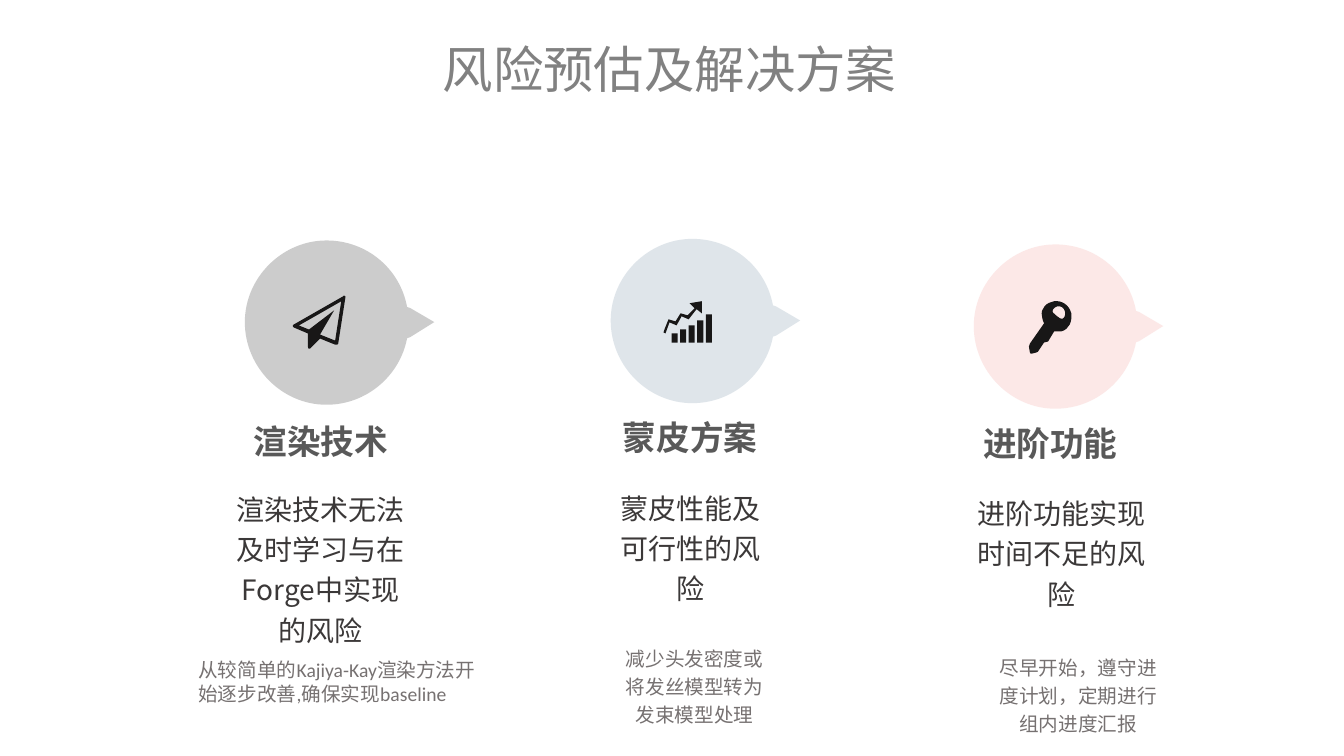
import pptx
import pptx.util
import pptx.dml.color
import pptx.enum.text
from lxml import etree
from pptx.oxml.ns import qn
from pptx.util import Cm

HUES = {
    "title": "818181", "head": "595959", "risk": "3B3838", "fix": "767171",
    "icon": "181717", "grey": "818181", "blue": "B1C0CC", "pink": "F9C7C5",
}
SANS = "Noto Sans CJK JP"
HAN = "Noto Sans CJK SC"
ALIGN = pptx.enum.text.PP_ALIGN
ANCHOR = pptx.enum.text.MSO_ANCHOR
UNIT = Cm(0.0254)  # outlines are drawn on a grid of this pitch
FINE = 100  # subdivisions of one grid unit

# Outlines: a pair is a corner, six numbers are a Bezier curve.
BUBBLE = [[
    (188, 81), (164, 67), (161, 66), (154, 28, 121, 0, 81, 0),
    (37, 0, 0, 37, 0, 81), (0, 126, 37, 163, 81, 163),
    (121, 163, 154, 134, 161, 97), (164, 96), (164, 96, 188, 81, 188, 81),
]]
PLANE = [
    [(42, 45), (27, 39), (41, 15), (16, 34), (6, 30), (48, 6),
     (48, 6, 42, 45, 42, 45)],
    [(52, 1), (51, 0, 50, 0, 50, 1), (1, 29), (0, 29, 0, 30, 0, 31),
     (0, 31, 1, 32, 1, 32), (15, 38), (15, 51), (15, 52, 15, 53, 16, 53),
     (17, 53, 17, 53, 17, 53), (18, 53, 18, 53, 18, 52), (27, 43), (42, 49),
     (43, 49, 43, 49, 43, 49), (43, 49, 44, 49, 44, 49),
     (45, 49, 45, 48, 45, 48), (52, 3), (53, 2, 52, 1, 52, 1)],
]
GRAPH = [[
    (18, 15), (25, 18), (32, 9), (33, 8), (38, 12), (38, 6), (38, 0),
    (32, 1), (26, 2), (31, 7), (24, 14), (17, 12), (12, 20), (5, 18),
    (1, 28), (0, 31), (2, 32), (6, 21), (13, 24), (18, 15),
]]
for i, top in enumerate([32, 28, 24, 19, 13]):
    left = 8 + 8.5 * i
    GRAPH.append([(left, top), (left + 6, top), (left + 6, 41), (left, 41)])
KEY = [
    [(35, 16), (33, 19, 31, 17, 28, 15), (25, 12, 22, 11, 24, 8),
     (26, 5, 30, 4, 33, 6), (36, 8, 37, 13, 35, 16)],
    [(42, 12), (40, 4, 33, -1, 25, 0), (18, 1, 11, 7, 13, 15),
     (13, 17, 14, 20, 15, 22), (1, 42), (0, 43, 0, 44, 0, 45), (1, 51),
     (1, 52, 2, 52, 3, 52), (7, 51), (8, 51, 9, 50, 9, 50), (15, 41),
     (19, 40), (25, 30), (27, 30, 30, 30, 32, 30), (40, 28, 43, 20, 42, 12)],
]

COLUMNS = [
    dict(hue="grey", bubble=(6.17, 6.06), icon=PLANE, spot=(7.38, 7.44),
         head=("渲染技术", (4.87, 10.61, 6.43, 1.14)),
         risk=("渲染技术无法及时学习与在Forge中实现的风险", (5.55, 12.11, 5.05, 4.37)),
         fix=("从较简单的Kajiya-Kay渲染方法开始逐步改善,确保实现baseline",
              (4.75, 16.46, 7.59, 1.45)),
         face=HAN, align=ALIGN.LEFT, lead=1.0),
    dict(hue="blue", bubble=(15.39, 6.02), icon=GRAPH, spot=(16.72, 7.59),
         head=("蒙皮方案", (14.34, 10.55, 6.1, 1.09)),
         risk=("蒙皮性能及可行性的风险", (15.31, 12.08, 4.19, 3.33)),
         fix=("减少头发密度或将发丝模型转为发束模型处理",
              (15.41, 16.05, 4.19, 2.41)),
         face=SANS, align=ALIGN.CENTER, lead=1.2),
    dict(hue="pink", bubble=(24.54, 6.16), icon=KEY, spot=(25.93, 7.59),
         head=("进阶功能", (23.42, 10.72, 6.1, 1.09)),
         risk=("进阶功能实现时间不足的风险", (24.31, 12.22, 4.9, 3.33)),
         fix=("尽早开始，遵守进度计划，定期进行组内进度汇报",
              (24.84, 16.28, 4.67, 2.41)),
         face=SANS, align=ALIGN.CENTER, lead=1.2),
]

deck = pptx.Presentation()
deck.slide_width = Cm(33.87)
deck.slide_height = Cm(19.05)
slide = deck.slides.add_slide(deck.slide_layouts[6])


def write(text, box, size, hue, face=SANS, han=None, bold=False,
          align=ALIGN.CENTER, lead=1.0, anchor=ANCHOR.TOP):
    frame = slide.shapes.add_textbox(*map(Cm, box)).text_frame
    frame.word_wrap = True
    frame.vertical_anchor = anchor
    para = frame.paragraphs[0]
    para.alignment = align
    para.line_spacing = lead
    run = para.add_run()
    run.text = text
    run.font.size = pptx.util.Pt(size)
    run.font.bold = bold
    run.font.color.rgb = pptx.dml.color.RGBColor.from_string(HUES[hue])
    run.font.name = face
    east = etree.SubElement(run.font._element, qn("a:ea"))
    east.set("typeface", han or face)


def draw(group, loops, spot, hue, alpha=100):
    """Fill closed outlines, turning the sides with six numbers into curves."""
    ends = [[(s[-2] * FINE, s[-1] * FINE) for s in loop] for loop in loops]
    pen = group.shapes.build_freeform(*ends[0][0], scale=UNIT / FINE)
    for i, loop in enumerate(ends):
        if i:
            pen.move_to(*loop[0])
        pen.add_line_segments(loop[1:], close=True)
    shape = pen.convert_to_shape(*map(Cm, spot))

    outline = shape._element.spPr.find(".//" + qn("a:path"))
    sides = [side for side in outline if side.tag != qn("a:close")]
    steps = [step for loop in loops for step in loop]
    low = [min(end[a] for loop in ends for end in loop) for a in (0, 1)]
    for side, step in zip(sides, steps):
        if len(step) == 6:
            curve = etree.SubElement(outline, qn("a:cubicBezTo"))
            for x, y in zip(step[::2], step[1::2]):
                point = etree.SubElement(curve, qn("a:pt"))
                point.set("x", str(round(x * FINE - low[0])))
                point.set("y", str(round(y * FINE - low[1])))
            outline.replace(side, curve)

    shape.shadow.inherit = False
    shape.line.fill.background()
    shape.fill.solid()
    shape.fill.fore_color.rgb = pptx.dml.color.RGBColor.from_string(HUES[hue])
    if alpha < 100:
        color = shape._element.spPr.find(".//" + qn("a:srgbClr"))
        tone = etree.SubElement(color, qn("a:alpha"))
        tone.set("val", str(alpha * 1000))


write("风险预估及解决方案", (10.64, 0.84, 12.47, 1.8), 36, "title")

for col in COLUMNS:
    write(*col["head"], 24, "head", bold=True, lead=1.3, anchor=ANCHOR.BOTTOM)

for col in reversed(COLUMNS):
    group = slide.shapes.add_group_shape()
    draw(group, BUBBLE, col["bubble"], col["hue"], alpha=40)
    draw(group, col["icon"], col["spot"], "icon")

for col in COLUMNS:
    write(*col["risk"], 20, "risk", face=col["face"], lead=1.2)

for col in COLUMNS:
    write(*col["fix"], 14, "fix", face="Calibri", han=HAN,
          align=col["align"], lead=col["lead"])

deck.save("out.pptx")
